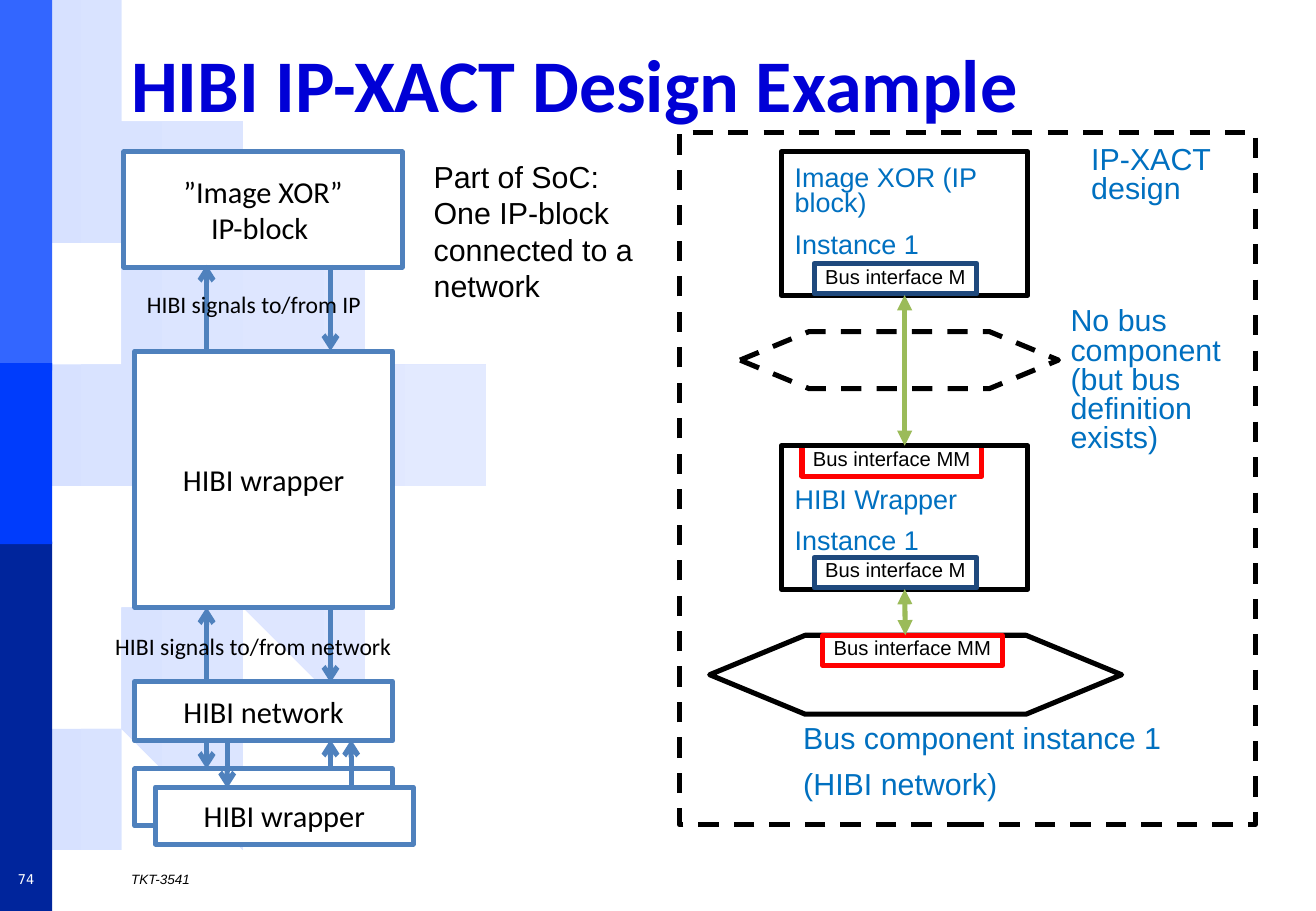
from lxml import etree
from pptx import Presentation
from pptx.dml.color import RGBColor
from pptx.enum.dml import MSO_LINE
from pptx.enum.shapes import MSO_CONNECTOR, MSO_SHAPE
from pptx.enum.text import MSO_ANCHOR, MSO_AUTO_SIZE, PP_ALIGN
from pptx.oxml.ns import qn
from pptx.util import Inches, Pt

RECT, HEXAGON = MSO_SHAPE.RECTANGLE, MSO_SHAPE.LEFT_RIGHT_ARROW
STRAIGHT, DASH = MSO_CONNECTOR.STRAIGHT, MSO_LINE.DASH
TOP, MIDDLE = MSO_ANCHOR.TOP, MSO_ANCHOR.MIDDLE
LEFT, CENTER = PP_ALIGN.LEFT, PP_ALIGN.CENTER
GROW = MSO_AUTO_SIZE.SHAPE_TO_FIT_TEXT
BOTTOM_SITE, TOP_SITE = 2, 0
COLORS = {
    "white": "FFFFFF", "black": "000000", "title": "0000D6", "label": "0070C0",
    "block": "4F81BD", "master": "1F497D", "mirrored": "FF0000", "bus": "9BBB59",
    "bar_top": "3366FF", "bar_mid": "003CFC", "bar_low": "00259C",
    "gear_from": "D7E1FF", "gear_to": "E3EAFF",
}
GEAR_HEIGHT = 7.48
GEAR_TOP = [
    (3.7, 3.73), (3.7, 3.59), (3.67, 3.47), (2.86, 3.34), (2.83, 3.2), (2.81, 3.05),
    (2.75, 2.91), (2.73, 2.75), (3.38, 2.27), (3.33, 2.14), (3.27, 2.04), (3.2, 1.92),
    (3.14, 1.8), (2.36, 2.05), (2.25, 1.92), (2.15, 1.8), (2.06, 1.69), (1.92, 1.57),
    (2.32, 0.85), (2.19, 0.77), (2.08, 0.7), (1.99, 0.62), (1.86, 0.55), (1.28, 1.12),
    (1.14, 1.04), (1, 0.99), (0.87, 0.93), (0.7, 0.88), (0.7, 0.08), (0.55, 0.05),
    (0.42, 0.03), (0.29, 0.01), (0.14, 0), (0.14, 1.76), (0.28, 1.8), (0.42, 1.81),
    (0.54, 1.86), (0.65, 1.91), (0.78, 1.96), (0.89, 2.01), (1, 2.09), (1.11, 2.16),
    (1.19, 2.26), (1.3, 2.34), (1.39, 2.42), (1.47, 2.53), (1.55, 2.64), (1.6, 2.76),
    (1.67, 2.86), (1.73, 2.99), (0, 2.99),
]


def rgb(name):
    """Return the named colour."""
    return RGBColor.from_string(COLORS[name])


def write(sp, text, size, color="black", font="Arial", align=LEFT, anchor=TOP,
          wrap=True, grow=False, tight=False, bold=False, italic=False):
    """Fill a shape with formatted text; tight text has close lines and narrow insets."""
    tf = sp.text_frame
    tf.text = text
    tf.word_wrap = wrap
    tf.vertical_anchor = anchor
    if grow:
        tf.auto_size = GROW
    tf.margin_left = tf.margin_right = Inches(0.09 if tight else 0.1)
    tf.margin_top = tf.margin_bottom = Inches(0.04 if tight else 0.05)
    for p in tf.paragraphs:
        p.alignment = align
        if tight:
            p.line_spacing = 0.8
            p.space_before = Pt(round(size * 0.56, 1))
        for r in p.runs:
            r.font.size = Pt(size)
            r.font.name = font
            r.font.bold = bold
            r.font.italic = italic
            r.font.color.rgb = rgb(color)


def add_text(s, x, y, w, h, text, size, **style):
    """Add a text box."""
    sp = s.shapes.add_textbox(Inches(x), Inches(y), Inches(w), Inches(h))
    write(sp, text, size, **style)


def add_box(s, x, y, w, h, fill=None, line=None, dash=False, kind=RECT):
    """Add a preset shape with an optional fill and a 3 pt outline."""
    sp = s.shapes.add_shape(kind, Inches(x), Inches(y), Inches(w), Inches(h))
    sp.shadow.inherit = False
    if kind == HEXAGON:
        sp.adjustments[0], sp.adjustments[1] = 1, 1.21
    if fill:
        sp.fill.solid()
        sp.fill.fore_color.rgb = rgb(fill)
    else:
        sp.fill.background()
    if line:
        sp.line.color.rgb = rgb(line)
        sp.line.width = Pt(3)
        if dash:
            sp.line.dash_style = DASH
    else:
        sp.line.fill.background()
    return sp


def add_arrow(s, x, y1, y2, color, head=None, tail="arrow"):
    """Add a vertical arrow from y1 to y2."""
    c = s.shapes.add_connector(STRAIGHT, Inches(x), Inches(y1), Inches(x), Inches(y2))
    c.line.color.rgb = rgb(color)
    c.line.width = Pt(3)
    ln = c.line._get_or_add_ln()
    for tag, end in (("a:headEnd", head), ("a:tailEnd", tail)):
        if end:
            etree.SubElement(ln, qn(tag), type=end)
    etree.SubElement(c._element.spPr, qn("a:effectLst"))
    return c


def add_background(s, x, y, w):
    """Draw the gear and the side bars of width w."""
    points = GEAR_TOP + [(px, GEAR_HEIGHT - py) for px, py in reversed(GEAR_TOP)]
    points = [(x + px, y + py) for px, py in points]
    builder = s.shapes.build_freeform(*points[0], scale=Inches(1))
    builder.add_line_segments(points[1:], close=True)
    gear = builder.convert_to_shape()
    gear.shadow.inherit = False
    gear.line.fill.background()
    gear.fill.gradient()
    gear.fill.gradient_angle = 0
    for stop, name, pos in zip(gear.fill.gradient_stops, ("gear_from", "gear_to"), (0, 1)):
        stop.color.rgb = rgb(name)
        stop.position = pos
    for top, h, color in ((0, 3.05, "bar_top"), (4.46, 3.04, "bar_low"), (2.99, 1.49, "bar_mid")):
        add_box(s, x, y + top, w, h, fill=color)


def add_footer(s, y, h):
    """Write the page number and the course code."""
    add_text(s, 0, y, 0.43, h, "74", 8, color="white", font="DejaVu Sans Mono",
             align=CENTER, anchor=MIDDLE)
    add_text(s, 0.98, y, 9.39, h, "TKT-3541", 8, anchor=MIDDLE, italic=True)


def add_soc_diagram(s, x, y):
    """Draw the block diagram of the IP-block, wrappers and network."""
    blocks = (
        (0.09, 1.64, 2.12, 2.11, "HIBI wrapper"),
        (0, 0, 2.29, 0.95, "”Image XOR”\nIP-block "),
        (0.09, 4.36, 2.12, 0.49, "HIBI network"),
        (0.09, 5.08, 2.12, 0.47, "HIBI wrapper"),
        (0.26, 5.23, 2.12, 0.47, "HIBI wrapper"),
    )
    for dx, dy, w, h, text in blocks:
        sp = add_box(s, x + dx, y + dy, w, h, fill="white", line="block")
        write(sp, text, 18, font="Calibri", align=CENTER, anchor=MIDDLE)
    arrows = (
        (1.7, 0.93, 1.64), (0.68, 1.64, 0.93), (1.7, 3.75, 4.37), (0.68, 4.37, 3.75),
        (1.7, 5.08, 4.84), (0.68, 4.84, 5.08), (0.85, 4.84, 5.24), (1.87, 5.24, 4.84),
    )
    for dx, y1, y2 in arrows:
        add_arrow(s, x + dx, y + y1, y + y2, "block")
    for dx, dy, w, text in ((-0.17, 3.9, 2.49, "HIBI signals to/from network"),
                            (0.09, 1.09, 1.98, "HIBI signals to/from IP")):
        add_text(s, x + dx, y + dy, w, 0.34, text, 14, font="Calibri", wrap=False, grow=True)
    add_text(s, x + 2.45, y, 1.95, 1.31,
             "Part of SoC:\nOne IP-block connected to a network", 18, grow=True)


def add_interface(s, x, y, w, text, line):
    """Draw a small bus interface box."""
    sp = add_box(s, x, y, w, 0.25, line=line)
    write(sp, text, 12, wrap=False, grow=True, tight=True)


def add_component(s, x, y, text, text_top, text_height):
    """Draw a component instance with its master interface and return its outline."""
    sp = add_box(s, x, y, 2.03, 1.18, line="black")
    add_text(s, x + 0.02, y + text_top, 1.97, text_height, text, 16, color="label",
             grow=True, tight=True)
    add_interface(s, x + 0.27, y + 0.92, 1.34, "Bus interface M", "master")
    return sp


def add_design(s, x, y, w, h):
    """Draw the framed IP-XACT design."""
    add_box(s, x, y, w, h, fill="white", line="black", dash=True)
    add_box(s, x + 0.25, y + 4.14, 3.39, 0.65, line="black", kind=HEXAGON)
    add_box(s, x + 0.5, y + 1.64, 2.62, 0.47, line="black", dash=True, kind=HEXAGON)
    for dx, dy in ((1.01, 2.58), (1.18, 4.14)):
        add_interface(s, x + dx, y + dy, 1.48, "Bus interface MM", "mirrored")
    image = add_component(s, x + 0.84, y + 0.16, "Image XOR (IP block)\nInstance 1", 0.08, 0.87)
    wrapper = add_component(s, x + 0.84, y + 2.58, "HIBI Wrapper\nInstance 1", 0.31, 0.65)
    link = add_arrow(s, x + 1.86, y + 1.34, y + 2.58, "bus", "triangle", "triangle")
    link.begin_connect(image, BOTTOM_SITE)
    link.end_connect(wrapper, TOP_SITE)
    link = add_arrow(s, x + 1.86, y + 3.76, y + 4.14, "bus", "triangle", "triangle")
    link.begin_connect(wrapper, BOTTOM_SITE)
    labels = (
        (0.93, 4.85, 3.15, 0.72, "Bus component instance 1\n(HIBI network)", False),
        (3.13, 1.41, 1.86, 1.3, "No bus component (but bus definition exists)", True),
        (3.3, 0.08, 1.35, 0.59, "IP-XACT design", True),
    )
    for dx, dy, lw, lh, text, wrap in labels:
        add_text(s, x + dx, y + dy, lw, lh, text, 18, color="label", wrap=wrap,
                 grow=True, tight=True)


def main():
    """Build and save the slide."""
    prs = Presentation()
    prs.slide_width, prs.slide_height = Inches(10.83), Inches(7.5)
    s = prs.slides.add_slide(prs.slide_layouts[6])
    add_background(s, 0, 0, 0.43)
    add_design(s, 5.59, 1.09, 4.74, 5.7)
    add_text(s, 0.98, 0.21, 9.39, 0.94, "HIBI IP-XACT Design Example", 44, color="title",
             font="Calibri", anchor=MIDDLE, bold=True)
    add_soc_diagram(s, 1.02, 1.25)
    add_footer(s, 7.11, 0.26)
    prs.save("out.pptx")


if __name__ == "__main__":
    main()
